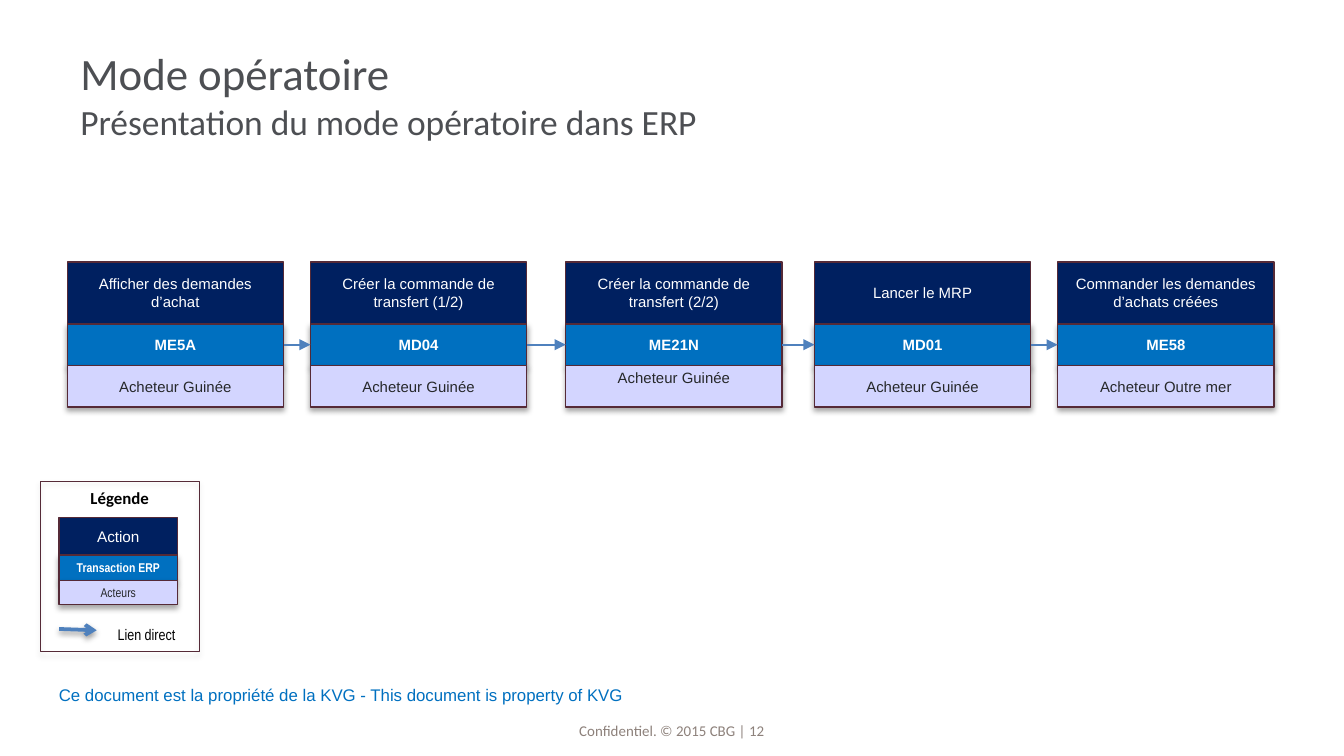
from dataclasses import dataclass
from itertools import pairwise

from lxml import etree
from pptx import Presentation
from pptx.dml.color import RGBColor
from pptx.enum.shapes import MSO_CONNECTOR, MSO_SHAPE
from pptx.enum.text import MSO_ANCHOR, PP_ALIGN
from pptx.oxml.ns import qn
from pptx.util import Inches, Pt

RECTANGLE = MSO_SHAPE.RECTANGLE
STRAIGHT = MSO_CONNECTOR.STRAIGHT
TOP, MIDDLE, BOTTOM = MSO_ANCHOR.TOP, MSO_ANCHOR.MIDDLE, MSO_ANCHOR.BOTTOM
LEFT, CENTER = PP_ALIGN.LEFT, PP_ALIGN.CENTER
LEFT_SIDE, RIGHT_SIDE = 1, 3


@dataclass(frozen=True)
class Theme:
    navy: str = "002060"
    blue: str = "0070C0"
    lavender: str = "D3D5FF"
    outline: str = "552A37"
    arrow: str = "4F81BD"
    white: str = "FFFFFF"
    black: str = "000000"
    dark: str = "26282A"
    title: str = "4D4F53"
    footer: str = "8D817B"
    body_font: str = "Arial"
    narrow_font: str = "Arial Narrow"
    heading_font: str = "Calibri"
    title_size: float = 24
    subtitle_size: float = 19
    notice_size: float = 9
    step_size: float = 8
    legend_size: float = 8.2
    legend_small: float = 6.8


@dataclass(frozen=True)
class Box:
    left: float
    top: float
    width: float
    height: float

    def lengths(self) -> list:
        return [Inches(v) for v in (self.left, self.top, self.width, self.height)]


@dataclass(frozen=True)
class TextStyle:
    size: float
    color: str
    font: str = Theme.body_font
    bold: bool = False


@dataclass(frozen=True)
class Band:
    """One layer of a process card."""
    height: float
    fill: str
    style: TextStyle
    shadow: bool = True


@dataclass(frozen=True)
class Step:
    left: float
    action: str
    transaction: str
    actor: str
    actor_anchor: MSO_ANCHOR = MIDDLE


THEME = Theme()
CARD_TOP, CARD_WIDTH = 1.95, 1.61
CARD_BANDS = (
    Band(0.46, THEME.navy, TextStyle(THEME.step_size, THEME.white), shadow=False),
    Band(0.31, THEME.blue, TextStyle(THEME.step_size, THEME.white, bold=True)),
    Band(0.31, THEME.lavender, TextStyle(THEME.step_size, THEME.dark)),
)
LEGEND_BANDS = (
    Band(0.28, THEME.navy, TextStyle(THEME.legend_size, THEME.white), shadow=False),
    Band(0.19, THEME.blue,
         TextStyle(THEME.legend_small, THEME.white, THEME.narrow_font, True)),
    Band(0.18, THEME.lavender,
         TextStyle(THEME.legend_small, THEME.dark, THEME.narrow_font)),
)
STEPS = (
    Step(0.5, "Afficher des demandes d’achat", "ME5A", "Acheteur Guinée"),
    Step(2.31, "Créer la commande de transfert (1/2)", "MD04", "Acheteur Guinée"),
    Step(4.21, "Créer la commande de transfert (2/2)", "ME21N", "Acheteur Guinée", TOP),
    Step(6.06, "Lancer le MRP", "MD01", "Acheteur Guinée"),
    Step(7.87, "Commander les demandes d’achats créées", "ME58", "Acheteur Outre mer"),
)


def add_run(paragraph, text: str, style: TextStyle) -> None:
    run = paragraph.add_run()
    run.text = text
    values = {"size": Pt(style.size), "name": style.font, "bold": style.bold}
    for attribute, value in values.items():
        setattr(run.font, attribute, value)
    run.font.color.rgb = RGBColor.from_string(style.color)


def add_text(shapes, box: Box, text: str, style: TextStyle, align=CENTER, **frame_format):
    """Add a text box; frame_format overrides the text frame attributes."""
    frame = shapes.add_textbox(*box.lengths()).text_frame
    for attribute, value in {"word_wrap": True, **frame_format}.items():
        setattr(frame, attribute, value)
    paragraph = frame.paragraphs[0]
    paragraph.alignment = align
    add_run(paragraph, text, style)
    return paragraph


def set_effects(shape, shadow: bool, opacity: int = 35, distance: float = 1.8) -> None:
    """Replace inherited effects with none, or with a shadow cast downwards."""
    properties = shape._element.spPr
    effects = properties.find(qn("a:effectLst"))
    if effects is None:
        effects = etree.SubElement(properties, qn("a:effectLst"))
    if shadow:
        outer = etree.SubElement(
            effects, qn("a:outerShdw"), blurRad=str(Pt(3.1)), dist=str(Pt(distance)),
            dir="5400000", rotWithShape="0")
        color = etree.SubElement(outer, qn("a:srgbClr"), val=THEME.black)
        etree.SubElement(color, qn("a:alpha"), val=str(opacity * 1000))


def add_rectangle(shapes, box: Box, fill: str | None, line_width: float, shadow: bool):
    rectangle = shapes.add_shape(RECTANGLE, *box.lengths())
    if fill:
        rectangle.fill.solid()
        rectangle.fill.fore_color.rgb = RGBColor.from_string(fill)
    else:
        rectangle.fill.background()
    rectangle.line.color.rgb = RGBColor.from_string(THEME.outline)
    rectangle.line.width = Pt(line_width)
    rectangle.shadow.inherit = False
    set_effects(rectangle, shadow)
    return rectangle


def add_card(shapes, left: float, top: float, width: float,
             bands: tuple[Band, ...], labels: tuple[str, ...]) -> list:
    """Stack labelled bands and return their rectangles from top to bottom."""
    rectangles = []
    for band, label in zip(bands, labels):
        box = Box(left, top, width, band.height)
        rectangle = add_rectangle(shapes, box, band.fill, 0.75, band.shadow)
        frame = rectangle.text_frame
        frame.word_wrap = True
        frame.vertical_anchor = MIDDLE
        frame.paragraphs[0].alignment = CENTER
        add_run(frame.paragraphs[0], label, band.style)
        rectangles.append(rectangle)
        top += band.height
    return rectangles


def add_arrow(shapes, start: tuple, end: tuple, width: float, head: str, shadow: bool = False):
    arrow = shapes.add_connector(STRAIGHT, *start, *end)
    arrow.line.color.rgb = RGBColor.from_string(THEME.arrow)
    arrow.line.width = Pt(width)
    etree.SubElement(arrow.line._get_or_add_ln(), qn("a:tailEnd"), type=head)
    set_effects(arrow, shadow, opacity=38, distance=1.6)
    return arrow


def add_legend(shapes) -> None:
    group = shapes.add_group_shape().shapes
    add_card(group, 0.44, 3.85, 0.88, LEGEND_BANDS, ("Action", "Transaction ERP", "Acteurs"))
    add_arrow(group, (Inches(0.44), Inches(4.68)), (Inches(0.72), Inches(4.69)),
              2, "arrow", shadow=True)
    add_text(group, Box(0.77, 4.6, 0.64, 0.24), "Lien direct",
             TextStyle(THEME.legend_size, THEME.black, THEME.narrow_font), word_wrap=False)
    add_rectangle(group, Box(0.3, 3.58, 1.18, 1.27), None, 0.25, shadow=True)
    add_text(group, Box(0.3, 3.58, 1.18, 0.25), "Légende",
             TextStyle(THEME.notice_size, THEME.black, THEME.heading_font, True))


def add_process(shapes) -> None:
    transactions = []
    for step in STEPS:
        _, transaction, actor = add_card(
            shapes.add_group_shape().shapes, step.left, CARD_TOP, CARD_WIDTH,
            CARD_BANDS, (step.action, step.transaction, step.actor))
        actor.text_frame.vertical_anchor = step.actor_anchor
        actor.text_frame.margin_top = Inches(0.02 if step.actor_anchor == TOP else 0.05)
        transactions.append(transaction)
    for source, target in pairwise(transactions):
        middle = source.top + source.height // 2
        arrow = add_arrow(shapes, (source.left + source.width, middle),
                          (target.left, middle), 1, "triangle")
        arrow.begin_connect(source, RIGHT_SIDE)
        arrow.end_connect(target, LEFT_SIDE)


def main() -> None:
    presentation = Presentation()
    presentation.slide_width = Inches(10)
    presentation.slide_height = presentation.slide_width * 9 // 16
    shapes = presentation.slides.add_slide(presentation.slide_layouts[6]).shapes

    no_margins = dict.fromkeys(
        ("margin_left", "margin_top", "margin_right", "margin_bottom"), 0)
    add_text(shapes, Box(3.4, 5.33, 3.2, 0.17), "Confidentiel. © 2015 CBG | 12",
             TextStyle(THEME.step_size, THEME.footer, THEME.heading_font),
             vertical_anchor=BOTTOM, **no_margins)
    add_text(shapes, Box(0.31, 5.05, 4.45, 0.24),
             "Ce document est la propriété de la KVG - This document is property of KVG",
             TextStyle(THEME.notice_size, THEME.blue), vertical_anchor=MIDDLE)
    title = add_text(shapes, Box(0.5, 0.23, 9, 0.94), "Mode opératoire",
                     TextStyle(THEME.title_size, THEME.title, THEME.heading_font),
                     align=LEFT, vertical_anchor=MIDDLE)
    title.add_line_break()
    add_run(title, "Présentation du mode opératoire dans ERP",
            TextStyle(THEME.subtitle_size, THEME.title, THEME.heading_font))

    add_legend(shapes)
    add_process(shapes)
    presentation.save("out.pptx")


if __name__ == "__main__":
    main()
